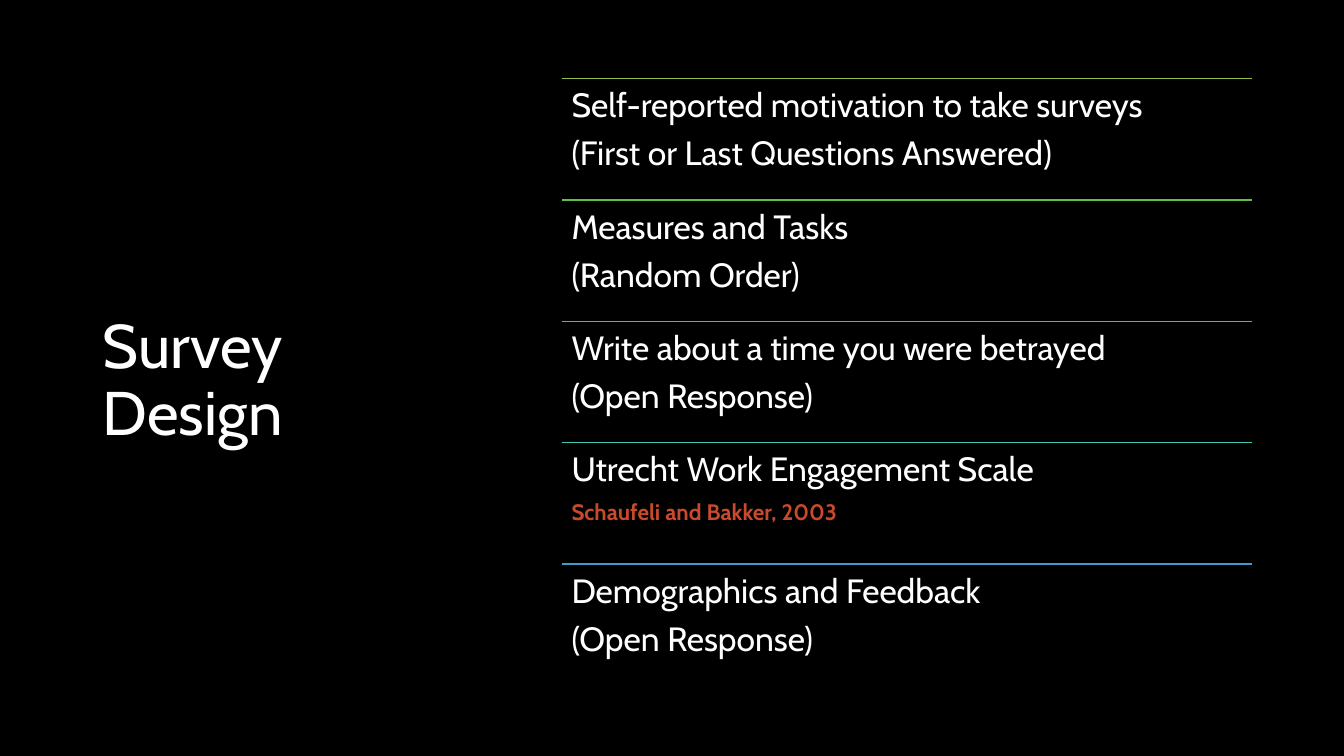
from dataclasses import dataclass

from pptx import Presentation
from pptx.dml.color import RGBColor
from pptx.enum.shapes import MSO_CONNECTOR
from pptx.enum.text import MSO_ANCHOR, MSO_AUTO_SIZE, PP_ALIGN
from pptx.oxml.ns import qn
from pptx.slide import Slide
from pptx.text.text import _Paragraph
from pptx.util import Inches, Pt
from lxml.etree import SubElement

COLORS = {
    "background": "000000",
    "text": "FFFFFF",
    "citation": "C9492C",
    "lime": "97BE49",
    "green": "5AC246",
    "emerald": "43C56E",
    "teal": "40C9B2",
    "blue": "3D9CCC",
}
FONT = "Cabin"
LIST_LEFT, LIST_TOP, LIST_WIDTH = 5.57, 0.78, 6.85
LIST_HEIGHT = 6.02


@dataclass(frozen=True)
class Section:
    heading: str
    detail: str
    rule_color: str
    detail_size: int = 24
    detail_color: str = "text"
    detail_bold: bool = False


SECTIONS = [
    Section("Self-reported motivation to take surveys",
            "(First or Last Questions Answered)", "lime"),
    Section("Measures and Tasks", "(Random Order)", "green"),
    Section("Write about a time you were betrayed", "(Open Response)", "emerald"),
    Section("Utrecht Work Engagement Scale", "Schaufeli and Bakker, 2003",
            "teal", 16, "citation", True),
    Section("Demographics and Feedback", "(Open Response)", "blue"),
]


def color(name: str) -> RGBColor:
    return RGBColor.from_string(COLORS[name])


def format_paragraph(para: _Paragraph, size: int, color_name: str = "text",
                     bold: bool = False) -> None:
    para.alignment = PP_ALIGN.LEFT
    para.line_spacing = 0.9
    for span in para.runs:
        span.font.name = FONT
        span.font.size = Pt(size)
        span.font.bold = bold
        span.font.color.rgb = color(color_name)


def add_title(page: Slide, text: str) -> None:
    title = page.shapes.title
    title.left, title.top = Inches(0.92), Inches(0.78)
    title.width, title.height = Inches(3.69), Inches(6.02)
    frame = title.text_frame
    frame.text = text
    frame.word_wrap = True
    frame.auto_size = MSO_AUTO_SIZE.NONE
    frame.vertical_anchor = MSO_ANCHOR.MIDDLE
    format_paragraph(frame.paragraphs[0], 44)


def add_rule(page: Slide, top: float, color_name: str) -> None:
    rule = page.shapes.add_connector(
        MSO_CONNECTOR.STRAIGHT, Inches(LIST_LEFT), Inches(top),
        Inches(LIST_LEFT + LIST_WIDTH), Inches(top))
    rule.line.color.rgb = color(color_name)
    rule.line.width = Pt(1)
    SubElement(rule._element.spPr, qn("a:effectLst"))


def add_section(page: Slide, section: Section, top: float, height: float) -> None:
    add_rule(page, top, section.rule_color)
    box = page.shapes.add_textbox(Inches(LIST_LEFT), Inches(top),
                                  Inches(LIST_WIDTH), Inches(height))
    frame = box.text_frame
    frame.word_wrap = True
    frame.margin_left = frame.margin_right = Inches(0.1)
    frame.margin_top = frame.margin_bottom = Inches(0.1)
    frame.text = f"{section.heading}\n{section.detail}"
    heading, detail = frame.paragraphs
    heading.space_after = Pt(8.4)
    format_paragraph(heading, 24)
    format_paragraph(detail, section.detail_size, section.detail_color,
                     section.detail_bold)


def main() -> None:
    deck = Presentation()
    deck.slide_width, deck.slide_height = Inches(13.33), Inches(7.5)
    page = deck.slides.add_slide(deck.slide_layouts[5])
    page.background.fill.solid()
    page.background.fill.fore_color.rgb = color("background")
    add_title(page, "Survey Design")
    row_height = LIST_HEIGHT / len(SECTIONS)
    for index, section in enumerate(SECTIONS):
        add_section(page, section, LIST_TOP + index * row_height, row_height)
    deck.save("out.pptx")


if __name__ == "__main__":
    main()
